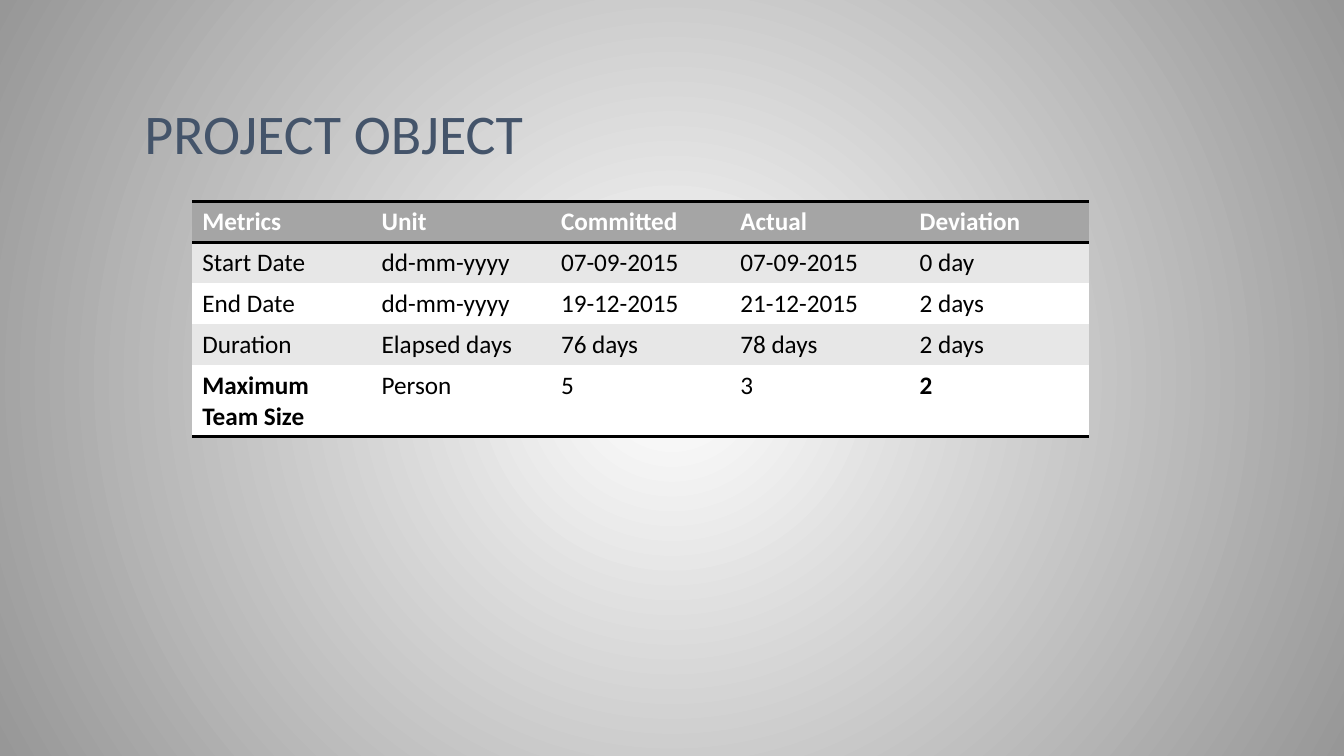
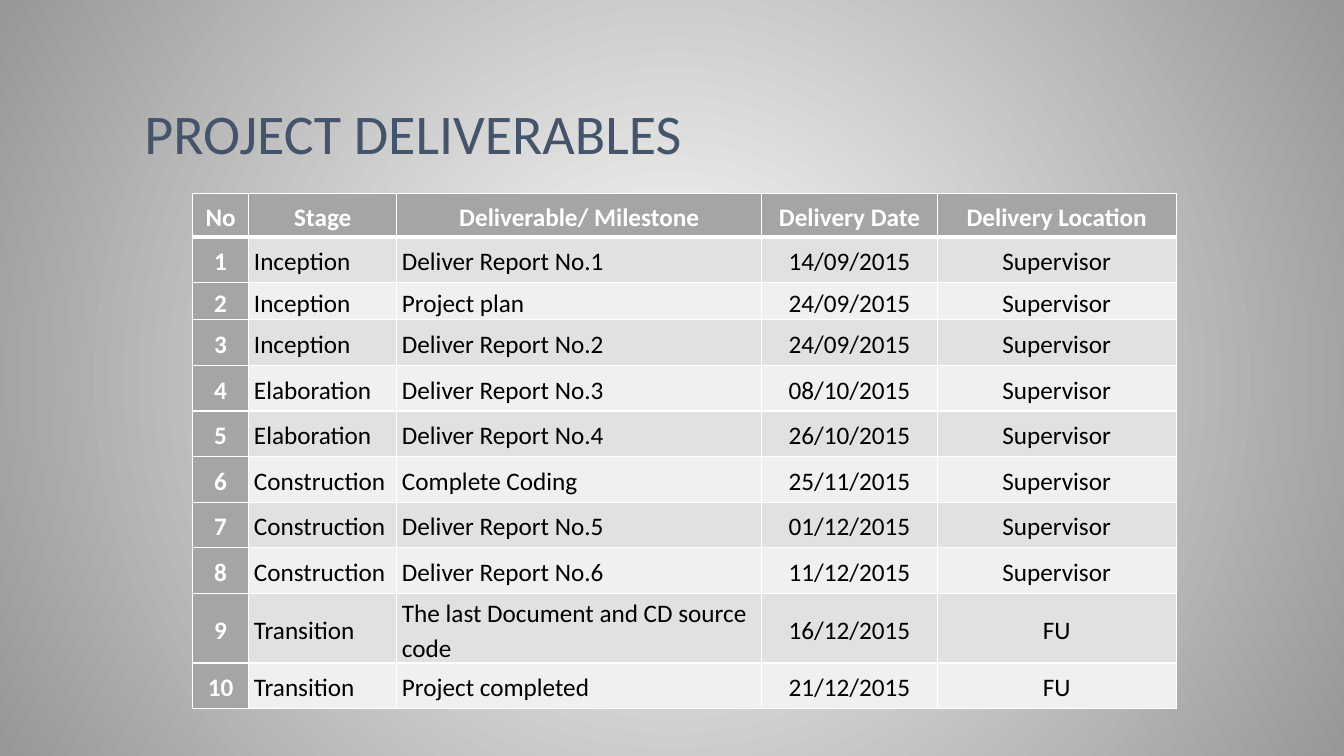
"""Builds two project slides, each with a title and a table."""
from lxml import etree
from pptx import Presentation
from pptx.dml.color import RGBColor
from pptx.enum.text import MSO_ANCHOR, PP_ALIGN
from pptx.oxml.ns import qn
from pptx.util import Cm, Pt

LEFT, CENTER = PP_ALIGN.LEFT, PP_ALIGN.CENTER
TOP, MIDDLE, BOTTOM = MSO_ANCHOR.TOP, MSO_ANCHOR.MIDDLE, MSO_ANCHOR.BOTTOM

FONT = "Calibri"
BLACK = RGBColor(0x00, 0x00, 0x00)
WHITE = RGBColor(0xFF, 0xFF, 0xFF)
NAVY = RGBColor(0x44, 0x54, 0x6A)
EDGE_GRAY = RGBColor(0x97, 0x97, 0x97)
HEADER_GRAY = RGBColor(0xA5, 0xA5, 0xA5)
BAND_GRAY = RGBColor(0xE7, 0xE7, 0xE7)
DARK_BAND = RGBColor(0xE1, 0xE1, 0xE1)
LIGHT_BAND = RGBColor(0xF0, 0xF0, 0xF0)
PLAIN_TABLE = "{2D5ABB26-0587-4C30-8999-92F81FD0307C}"

METRICS = [
    ("Metrics", "Unit", "Committed", "Actual", "Deviation"),
    ("Start Date", "dd-mm-yyyy", "07-09-2015", "07-09-2015", "0 day"),
    ("End Date", "dd-mm-yyyy", "19-12-2015", "21-12-2015", "2 days"),
    ("Duration", "Elapsed days", "76 days", "78 days", "2 days"),
    ("Maximum Team Size", "Person", "5", "3", "2"),
]
MILESTONES = [
    ("Inception", "Deliver Report No.1", "14/09/2015", "Supervisor"),
    ("Inception", "Project plan", "24/09/2015", "Supervisor"),
    ("Inception", "Deliver Report No.2", "24/09/2015", "Supervisor"),
    ("Elaboration", "Deliver Report No.3", "08/10/2015", "Supervisor"),
    ("Elaboration", "Deliver Report No.4", "26/10/2015", "Supervisor"),
    ("Construction", "Complete Coding", "25/11/2015", "Supervisor"),
    ("Construction", "Deliver Report No.5", "01/12/2015", "Supervisor"),
    ("Construction", "Deliver Report No.6", "11/12/2015", "Supervisor"),
    ("Transition", "The last Document and CD source code", "16/12/2015", "FU"),
    ("Transition", "Project completed", "21/12/2015", "FU"),
]
DELIVERABLES = [("No", "Stage", "Deliverable/ Milestone", "Delivery Date", "Delivery Location")]
DELIVERABLES += [(str(number), *row) for number, row in enumerate(MILESTONES, 1)]

SLIDES = [
    dict(
        title="PROJECT OBJECT", rows=METRICS, top=5.08,
        widths=[4.52] * 5, heights=[1.03] * 4 + [1.8],
        bands=(BAND_GRAY, WHITE), header_column=False, bold_cells={(4, 0), (4, 4)},
        rule_color=BLACK, row_rules=[2, 2, 0, 0, 0, 2], column_rule=0,
        aligns=[LEFT] * 5, header_align=LEFT, header_space=0,
        anchor=TOP, margins=(0.25, 0.13), line_spacing=1.0,
    ),
    dict(
        title="PROJECT DELIVERABLES", rows=DELIVERABLES, top=4.88,
        widths=[1.42, 3.73, 9.2, 4.42, 6.02],
        heights=[1.09, 1.15, 0.94] + [1.15] * 6 + [1.73, 1.15],
        bands=(DARK_BAND, LIGHT_BAND), header_column=True, bold_cells=set(),
        rule_color=WHITE, row_rules=[1, 3] + [1] * 10, column_rule=1,
        aligns=[CENTER, LEFT, LEFT, CENTER, CENTER], header_align=CENTER, header_space=6,
        anchor=MIDDLE, margins=(0.13, 0), line_spacing=1.15,
    ),
]


def write(frame, text, size=18, color=BLACK, bold=False, align=LEFT, line_spacing=1.0, space=0):
    paragraph = frame.paragraphs[0]
    paragraph.alignment = align
    paragraph.line_spacing = line_spacing
    paragraph.space_before = paragraph.space_after = Pt(space)
    run = paragraph.add_run()
    run.text = text
    run.font.name, run.font.size, run.font.bold = FONT, Pt(size), bold
    run.font.color.rgb = color


def set_background(master):
    fill = master.background.fill
    fill.gradient()
    for stop, color in zip(fill.gradient_stops, (WHITE, EDGE_GRAY)):
        stop.color.rgb = color
    linear = next(master.element.iter(qn("a:lin")))
    gradient = linear.getparent()
    radial = etree.SubElement(gradient, qn("a:path"), path="circle")
    etree.SubElement(radial, qn("a:fillToRect"), {side: "50000" for side in "ltrb"})
    gradient.replace(linear, radial)


def add_rule(cell, edge, width, color):
    properties = cell._tc.get_or_add_tcPr()
    line = etree.SubElement(properties, qn(f"a:ln{edge}"), w=str(Pt(width)))
    if width:
        solid = etree.SubElement(line, qn("a:solidFill"))
        etree.SubElement(solid, qn("a:srgbClr"), val=str(color))
    else:
        etree.SubElement(line, qn("a:noFill"))


def add_title(slide, text):
    frame = slide.shapes.add_textbox(Cm(3.39), Cm(0.64), Cm(27.09), Cm(3.68)).text_frame
    frame.word_wrap = True
    frame.vertical_anchor = BOTTOM
    write(frame, text, size=40, color=NAVY, line_spacing=0.9)


def fill_cell(cell, text, r, c, style):
    rules = style["row_rules"]
    widths = dict(L=style["column_rule"], R=style["column_rule"], T=rules[r], B=rules[r + 1])
    for edge, width in widths.items():
        add_rule(cell, edge, width, style["rule_color"])
    header = r == 0 or (style["header_column"] and c == 0)
    cell.fill.solid()
    cell.fill.fore_color.rgb = HEADER_GRAY if header else style["bands"][(r - 1) % 2]
    side, end = style["margins"]
    cell.margin_left = cell.margin_right = Cm(side)
    cell.margin_top = cell.margin_bottom = Cm(end)
    cell.vertical_anchor = style["anchor"]
    write(
        cell.text_frame, text,
        color=WHITE if header else BLACK,
        bold=header or (r, c) in style["bold_cells"],
        align=style["aligns"][c] if r else style["header_align"],
        line_spacing=style["line_spacing"],
        space=0 if r else style["header_space"],
    )


def add_styled_table(slide, style):
    rows, widths, heights = style["rows"], style["widths"], style["heights"]
    table = slide.shapes.add_table(
        len(rows), len(widths), Cm(4.85), Cm(style["top"]), Cm(sum(widths)), Cm(sum(heights))
    ).table
    table.horz_banding = False
    next(table._tbl.iter(qn("a:tableStyleId"))).text = PLAIN_TABLE
    for column, width in zip(table.columns, widths):
        column.width = Cm(width)
    for r, (row, height) in enumerate(zip(rows, heights)):
        table.rows[r].height = Cm(height)
        for c, text in enumerate(row):
            fill_cell(table.cell(r, c), text, r, c, style)


def main():
    deck = Presentation()
    deck.slide_width, deck.slide_height = Cm(33.87), Cm(19.05)
    set_background(deck.slide_master)
    for content in SLIDES:
        slide = deck.slides.add_slide(deck.slide_layouts[6])
        add_title(slide, content["title"])
        add_styled_table(slide, content)
    deck.save("out.pptx")


if __name__ == "__main__":
    main()
